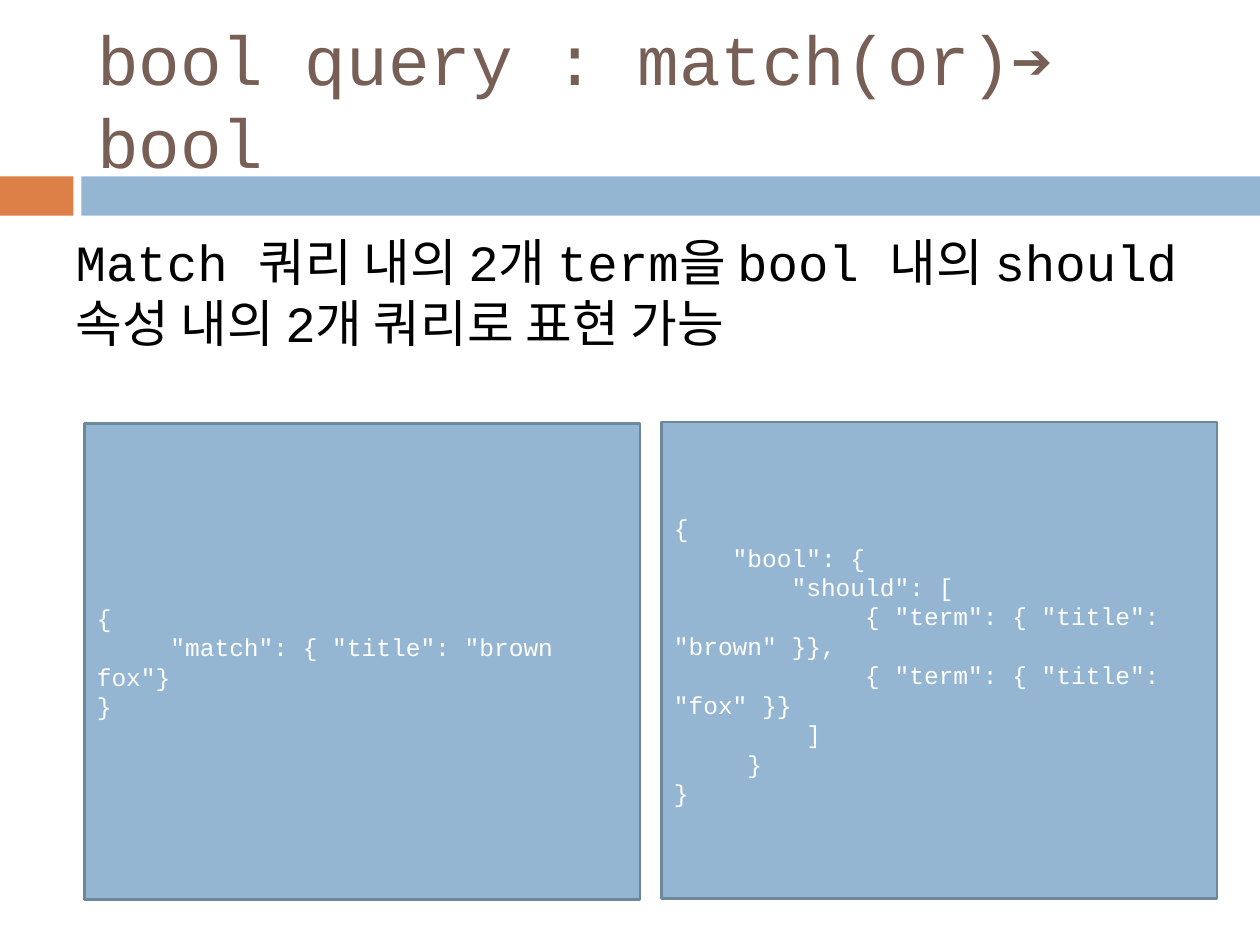
from pptx import Presentation
from pptx.dml.color import RGBColor
from pptx.enum import shapes, text
from pptx.oxml.ns import qn
from pptx.util import Pt

FONT = "Courier New"
COLORS = {"orange": "DD8047", "blue": "94B6D2", "border": "6D879B",
          "title": "775F55", "body": "000000", "code": "FFFFFF"}

TITLE = "bool query : match(or)➔ bool"
BODY = "Match 쿼리 내의 2개 term을 bool 내의 should 속성 내의 2개 쿼리로 표현 가능"
MATCH_QUERY = [
    '{',
    '     "match": { "title": "brown fox"}',
    '}',
]
BOOL_QUERY = [
    '{',
    '    "bool": {',
    '        "should": [',
    '             { "term": { "title": "brown" }},',
    '             { "term": { "title": "fox" }}',
    '         ]',
    '     }',
    '}',
]

BARS = [(0, 42, "orange"), (46.5, 673.5, "blue")]
BAR_TOP, BAR_H = 100.8, 22.5
PANELS = [(48.24, 241.9, MATCH_QUERY), (378, 241.2, BOOL_QUERY)]
PANEL_W, PANEL_H = 317.5, 272.2


def color(name):
    return RGBColor.from_string(COLORS[name])


def place(sp, left, top, width, height):
    sp.left, sp.top, sp.width, sp.height = map(Pt, (left, top, width, height))


def write(sp, lines, size, fill, anchor=text.MSO_ANCHOR.MIDDLE):
    tf = sp.text_frame
    tf.word_wrap = True
    tf.auto_size = text.MSO_AUTO_SIZE.NONE
    tf.vertical_anchor = anchor
    for i, line in enumerate(lines):
        p = tf.add_paragraph() if i else tf.paragraphs[0]
        p.alignment = text.PP_ALIGN.LEFT
        p.space_before = Pt(0)
        r = p.add_run()
        r.text = line
        r.font.name = FONT
        r.font.size = Pt(size)
        r.font.color.rgb = color(fill)


def add_rect(s, left, top, width, height, fill, border=None):
    sp = s.shapes.add_shape(shapes.MSO_SHAPE.RECTANGLE,
                            Pt(left), Pt(top), Pt(width), Pt(height))
    sp.shadow.inherit = False
    sp.fill.solid()
    sp.fill.fore_color.rgb = color(fill)
    if border:
        sp.line.color.rgb = color(border)
        sp.line.width = Pt(1.5)
    else:
        sp.line.fill.background()
    return sp


def main():
    prs = Presentation()
    prs.slide_width, prs.slide_height = Pt(720), Pt(540)
    s = prs.slides.add_slide(prs.slide_layouts[1])
    title, body = s.shapes.title, s.placeholders[1]

    for left, width, fill in BARS:
        bar = add_rect(s, left, BAR_TOP, width, BAR_H, fill)
        title._element.addprevious(bar._element)

    place(title, 48.24, 18, 642.24, 77.76)
    write(title, [TITLE], 39.6, "title")

    place(body, 36, 128.16, 648, 73.44)
    pPr = body.text_frame.paragraphs[0]._p.get_or_add_pPr()
    pPr.set("marL", "0")
    pPr.set("indent", "0")
    pPr.append(pPr.makeelement(qn("a:buNone"), {}))
    write(body, [BODY], 29, "body", text.MSO_ANCHOR.TOP)

    for left, top, code in PANELS:
        panel = add_rect(s, left, top, PANEL_W, PANEL_H, "blue", "border")
        write(panel, code, 14, "code")

    prs.save("out.pptx")


if __name__ == "__main__":
    main()
